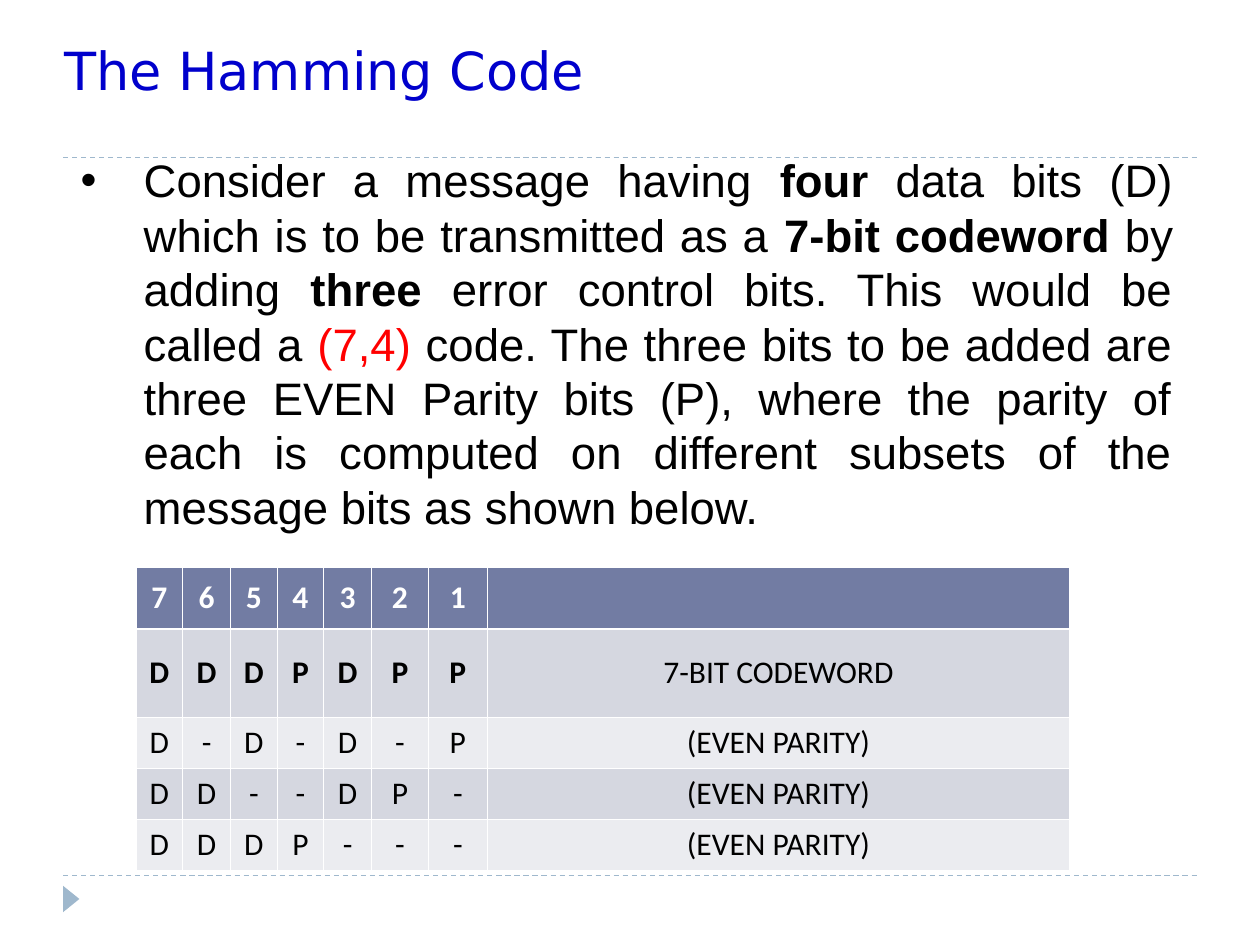
from dataclasses import dataclass

from lxml import etree
from pptx import Presentation
from pptx import util as u
from pptx.dml.color import RGBColor
from pptx.enum import dml, shapes, text
from pptx.oxml.ns import qn
from pptx.util import Inches


@dataclass(frozen=True)
class Theme:
    title: str = "0000CC"
    ink: str = "000000"
    accent: str = "FF0000"
    white: str = "FFFFFF"
    rule: str = "9FB8CD"
    header: str = "727CA3"
    bands: tuple = ("D5D7E0", "EBECF0")
    title_font: str = "DejaVu Sans"
    body_font: str = "Arial"
    table_font: str = "Calibri"
    title_size: float = 30
    body_size: float = 26
    body_leading: float = 31.1
    table_size: float = 18


T = Theme()
BODY = [
    ("Consider a message having ", ""),
    ("four", "bold"),
    (" data bits (D) which is to be transmitted as a ", ""),
    ("7-bit codeword ", "bold"),
    ("by adding ", ""),
    ("three", "bold"),
    (" error control bits. This would be called a ", ""),
    ("(7,4) ", "accent"),
    ("code. The three bits to be added are three EVEN Parity bits (P), where "
     "the parity of each is computed on different subsets of the message bits "
     "as shown below.", ""),
]
# Seven bit positions, then the note for the row
ROWS = [
    ("7654321", ""),
    ("DDDPDPP", "7-BIT CODEWORD"),
    ("D-D-D-P", "(EVEN PARITY)"),
    ("DD--DP-", "(EVEN PARITY)"),
    ("DDDP---", "(EVEN PARITY)"),
]
COL_WIDTHS = [0.37, 0.38, 0.37, 0.37, 0.38, 0.45, 0.47, 4.62]
ROW_HEIGHTS = [0.49, 0.7, 0.4, 0.4, 0.4]


def rgb(value):
    return RGBColor.from_string(value)


def place(s, box):
    s.left, s.top, s.width, s.height = (Inches(v) for v in box)


def add_run(p, words, font, size, color, bold=False):
    r = p.add_run()
    r.text = words
    r.font.name, r.font.size, r.font.bold = font, u.Pt(size), bold
    r.font.color.rgb = rgb(color)


def add_rule(s, left, y, width):
    line = s.shapes.add_connector(shapes.MSO_CONNECTOR.STRAIGHT, Inches(left),
                                  Inches(y), Inches(left + width), Inches(y))
    line.line.color.rgb = rgb(T.rule)
    line.line.width = u.Pt(0.75)
    line.line.dash_style = dml.MSO_LINE.DASH
    etree.SubElement(line._element.spPr, qn("a:effectLst"))


def add_marker(s, box):
    sp = s.shapes.add_shape(shapes.MSO_SHAPE.ISOSCELES_TRIANGLE,
                            *(Inches(v) for v in box))
    sp.rotation = 90
    sp.shadow.inherit = False
    sp.fill.solid()
    sp.fill.fore_color.rgb = rgb(T.rule)
    sp.line.fill.background()


def fill_title(sp, box):
    place(sp, box)
    tf = sp.text_frame
    tf.auto_size = text.MSO_AUTO_SIZE.NONE
    tf.vertical_anchor = text.MSO_ANCHOR.BOTTOM
    tf.margin_top, tf.margin_bottom = 0, Inches(0.03)
    p = tf.paragraphs[0]
    p.alignment = text.PP_ALIGN.LEFT
    add_run(p, "The Hamming Code", T.title_font, T.title_size, T.title)


def add_bullet(p, indent):
    pPr = p._p.get_or_add_pPr()
    pPr.set("marL", str(Inches(indent)))
    pPr.set("indent", str(-Inches(indent)))
    color = etree.SubElement(pPr, qn("a:buClr"))
    etree.SubElement(color, qn("a:srgbClr"), val=T.ink)
    etree.SubElement(pPr, qn("a:buFont"), typeface=T.body_font)
    etree.SubElement(pPr, qn("a:buChar"), char="•")


def fill_body(sp, box):
    place(sp, box)
    tf = sp.text_frame
    tf.auto_size = text.MSO_AUTO_SIZE.NONE
    tf.vertical_anchor = text.MSO_ANCHOR.TOP
    p = tf.paragraphs[0]
    add_bullet(p, 0.5)
    p.alignment = text.PP_ALIGN.JUSTIFY
    p.space_before = u.Pt(0)
    p.line_spacing = u.Pt(T.body_leading)
    for words, style in BODY:
        add_run(p, words, T.body_font, T.body_size,
                T.accent if style == "accent" else T.ink, style == "bold")


def add_borders(cell, row):
    tcPr = cell._tc.get_or_add_tcPr()
    heavy = {0: "lnB", 1: "lnT"}.get(row)
    for i, side in enumerate(("lnL", "lnR", "lnT", "lnB")):
        width = u.Pt(1.47 if side == heavy else 0.45)
        ln = etree.Element(qn("a:" + side), w=str(width))
        fill = etree.SubElement(ln, qn("a:solidFill"))
        etree.SubElement(fill, qn("a:srgbClr"), val=T.white)
        tcPr.insert(i, ln)


def add_code_table(s, box):
    frame = s.shapes.add_table(len(ROWS), len(COL_WIDTHS),
                               *(Inches(v) for v in box))
    table = frame.table
    for col, width in zip(table.columns, COL_WIDTHS):
        col.width = Inches(width)
    for row, height in zip(table.rows, ROW_HEIGHTS):
        row.height = Inches(height)
    for i, (bits, note) in enumerate(ROWS):
        for j, words in enumerate([*bits, note]):
            cell = table.cell(i, j)
            cell.vertical_anchor = text.MSO_ANCHOR.MIDDLE
            cell.fill.solid()
            cell.fill.fore_color.rgb = rgb(T.bands[(i - 1) % 2] if i else T.header)
            add_borders(cell, i)
            if words:
                p = cell.text_frame.paragraphs[0]
                p.alignment = text.PP_ALIGN.CENTER
                add_run(p, words, T.table_font, T.table_size,
                        T.ink if i else T.white,
                        i == 0 or (i == 1 and j < len(bits)))


def main():
    prs = Presentation()
    prs.slide_width, prs.slide_height = Inches(10), Inches(7.5)
    s = prs.slides.add_slide(prs.slide_layouts[1])
    # Frame
    for y in (6.95, 1.25):
        add_rule(s, 0.5, y, 9)
    add_marker(s, (0.46, 7.07, 0.21, 0.13))
    # Content
    fill_title(s.shapes.title, (0.41, 0.5, 9, 0.33))
    fill_body(s.placeholders[1], (0.54, 1.16, 8.87, 3.58))
    add_code_table(s, (1.08, 4.5, sum(COL_WIDTHS), sum(ROW_HEIGHTS)))
    prs.save("out.pptx")


if __name__ == "__main__":
    main()
